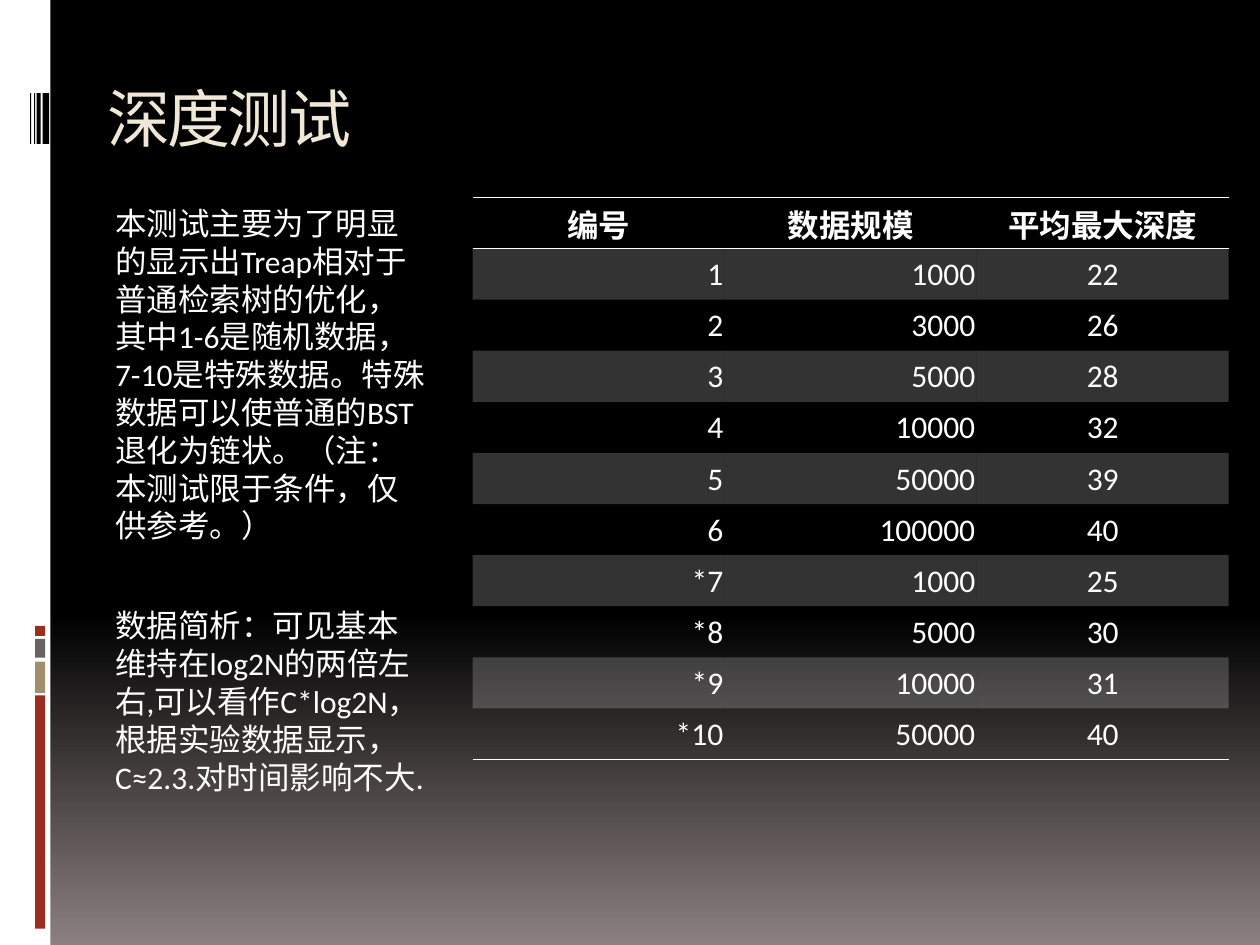
from lxml.etree import SubElement
from pptx import Presentation
from pptx.dml.color import RGBColor
from pptx.enum.shapes import MSO_SHAPE
from pptx.enum.text import MSO_ANCHOR, PP_ALIGN
from pptx.oxml.ns import qn
from pptx.util import Cm, Pt

WHITE = RGBColor(0xFF, 0xFF, 0xFF)
BLACK = RGBColor(0, 0, 0)
RED = RGBColor(0x9B, 0x2D, 0x1F)
TAN = RGBColor(0xA2, 0x8E, 0x6A)
GRAY = RGBColor(0x69, 0x64, 0x64)
CREAM = RGBColor(0xEF, 0xE8, 0xD6)
MAUVE = RGBColor(0x8C, 0x80, 0x80)
FONT = "Calibri"

TITLE = "深度测试"
NOTES = [
    "本测试主要为了明显的显示出Treap相对于普通检索树的优化，其中1-6是随机数据，"
    "7-10是特殊数据。特殊数据可以使普通的BST退化为链状。（注：本测试限于条件，仅供参考。）",
    "数据简析：可见基本维持在log2N的两倍左右,可以看作C*log2N，根据实验数据显示，"
    "C≈2.3.对时间影响不大.",
]
HEADERS = ("编号", "数据规模", "平均最大深度")
RESULTS = [
    ("1", 1000, 22),
    ("2", 3000, 26),
    ("3", 5000, 28),
    ("4", 10000, 32),
    ("5", 50000, 39),
    ("6", 100000, 40),
    ("*7", 1000, 25),
    ("*8", 5000, 30),
    ("*9", 10000, 31),
    ("*10", 50000, 40),
]
ALIGNMENTS = (PP_ALIGN.RIGHT, PP_ALIGN.RIGHT, PP_ALIGN.CENTER)

SIDEBAR_WIDTH, SLIDE_WIDTH, SLIDE_HEIGHT = 1.02, 25.4, 19.05
# top, height, colour
COLOR_BLOCKS = [(14.02, 4.7, RED), (13.34, 0.63, TAN), (12.88, 0.38, GRAY), (12.62, 0.2, RED)]
# left, width
BARCODE_BARS = [(0.86, 0.13), (0.74, 0.08), (0.69, 0.02), (0.61, 0.02)]
ROW_HEIGHT, COLUMN_WIDTH = 1.03, 5.08
NO_STYLE = "{2D5ABB26-0587-4C30-8999-92F81FD0307C}"


def add_bar(slide, left, top, width, height, color):
    bar = slide.shapes.add_shape(MSO_SHAPE.RECTANGLE, Cm(left), Cm(top), Cm(width), Cm(height))
    bar.shadow.inherit = False
    bar.fill.solid()
    bar.fill.fore_color.rgb = color
    bar.line.fill.background()


def add_text_box(slide, left, top, width, height):
    frame = slide.shapes.add_textbox(Cm(left), Cm(top), Cm(width), Cm(height)).text_frame
    frame.word_wrap = True
    return frame


def style_text(paragraph, size, color, bold=False):
    font = paragraph.font
    font.name, font.size, font.bold = FONT, Pt(size), bold
    font.color.rgb = color


def add_border(cell, side):
    """Draw a white 1 pt line on the "T" or "B" side of a cell; call before filling it."""
    line = SubElement(cell._tc.get_or_add_tcPr(), qn(f"a:ln{side}"), w=str(Pt(1)))
    fill = SubElement(line, qn("a:solidFill"))
    SubElement(fill, qn("a:srgbClr"), val=str(WHITE))


def fill_band(cell):
    cell.fill.solid()
    cell.fill.fore_color.rgb = WHITE
    color = cell._tc.tcPr.find(".//" + qn("a:srgbClr"))
    SubElement(color, qn("a:alpha"), val="20000")


def add_results_table(slide):
    rows = [HEADERS, *RESULTS]
    frame = slide.shapes.add_table(
        len(rows), len(HEADERS), Cm(9.53), Cm(3.98),
        Cm(COLUMN_WIDTH * len(HEADERS)), Cm(ROW_HEIGHT * len(rows)))
    table = frame.table
    table._tbl.tblPr.find(qn("a:tableStyleId")).text = NO_STYLE
    for column in table.columns:
        column.width = Cm(COLUMN_WIDTH)
    for r, values in enumerate(rows):
        table.rows[r].height = Cm(ROW_HEIGHT)
        is_header = r == 0
        for c, value in enumerate(values):
            cell = table.cell(r, c)
            cell.text = str(value)
            cell.vertical_anchor = MSO_ANCHOR.MIDDLE
            cell.margin_left = cell.margin_right = cell.margin_top = Cm(0.03)
            cell.margin_bottom = 0
            paragraph = cell.text_frame.paragraphs[0]
            paragraph.alignment = PP_ALIGN.CENTER if is_header else ALIGNMENTS[c]
            style_text(paragraph, 18, WHITE, bold=is_header)
            if is_header:
                add_border(cell, "T")
            if is_header or r == len(rows) - 1:
                add_border(cell, "B")
            if r % 2:
                fill_band(cell)
            else:
                cell.fill.background()


def main():
    presentation = Presentation()
    presentation.slide_width, presentation.slide_height = Cm(SLIDE_WIDTH), Cm(SLIDE_HEIGHT)
    slide = presentation.slides.add_slide(presentation.slide_layouts[6])

    background = slide.background.fill
    background.gradient()
    background.gradient_angle = 270
    for stop, position, color in zip(background.gradient_stops, (0.65, 1), (BLACK, MAUVE)):
        stop.position = position
        stop.color.rgb = color

    add_bar(slide, 0, 0, SIDEBAR_WIDTH, SLIDE_HEIGHT, WHITE)
    for top, height, color in COLOR_BLOCKS:
        add_bar(slide, 0.71, top, 0.2, height, color)
    for left, width in BARCODE_BARS:
        add_bar(slide, left, 1.88, width, 1.02, BLACK)

    title = add_text_box(slide, 1.91, 0.76, 22.86, 3.23)
    title.vertical_anchor = MSO_ANCHOR.MIDDLE
    title.text = TITLE
    style_text(title.paragraphs[0], 36, CREAM)
    title.paragraphs[0].runs[0]._r.get_or_add_rPr().set("spc", "-150")

    notes = add_text_box(slide, 1.91, 3.99, 6.99, 12.7)
    notes.margin_left = Cm(0.41)
    notes.text = "\n".join(NOTES)
    for paragraph in notes.paragraphs:
        style_text(paragraph, 18, WHITE)
    notes.paragraphs[1].space_before = Pt(35.5)

    add_results_table(slide)
    presentation.save("out.pptx")


if __name__ == "__main__":
    main()
